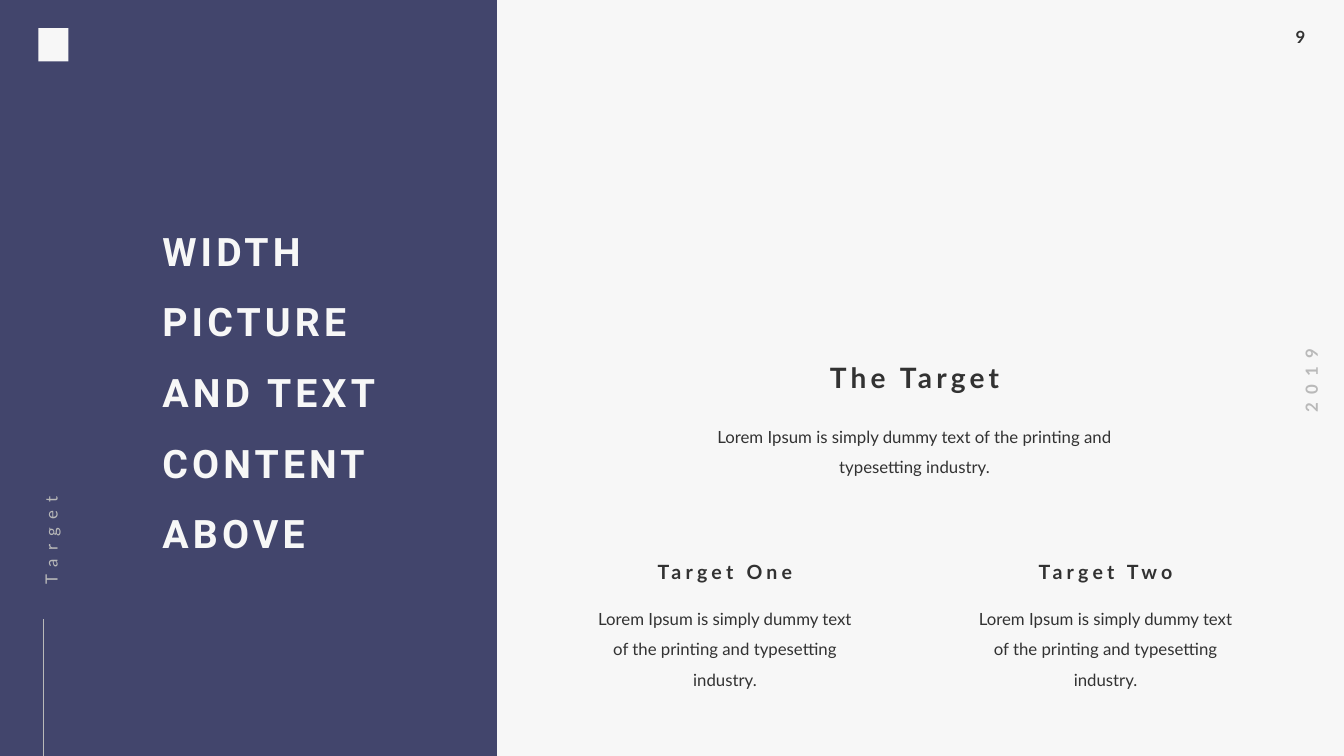
"""Build the "The Target" slide: a dark title panel beside three text blocks."""
from lxml import etree
from pptx import Presentation
from pptx.dml.color import RGBColor
from pptx.enum.shapes import MSO_CONNECTOR, MSO_SHAPE
from pptx.enum.text import MSO_ANCHOR, MSO_AUTO_SIZE, PP_ALIGN
from pptx.oxml.ns import qn
from pptx.util import Inches, Pt

LEFT, CENTER = PP_ALIGN.LEFT, PP_ALIGN.CENTER
RECTANGLE = MSO_SHAPE.RECTANGLE
STRAIGHT = MSO_CONNECTOR.STRAIGHT
TOP, NO_FIT = MSO_ANCHOR.TOP, MSO_AUTO_SIZE.NONE

COLORS = {"paper": "F7F7F7", "panel": "42456C", "ink": "323232", "muted": "B9B9B9"}

TITLE = "WIDTH PICTURE AND TEXT CONTENT ABOVE"
PAGE, YEAR, SECTION = "9", "2019", "Target"
LOREM = "Lorem Ipsum is simply dummy text of the printing and typesetting industry."
HEADING = "The Target"
TARGETS = [("Target One", LOREM), ("Target Two", LOREM)]

PANEL_WIDTH = 4.93
HEADING_CENTER = 9.12
TARGET_CENTER, TARGET_STEP = 7.24, 3.775


def color(name):
    return RGBColor.from_string(COLORS[name])


def write(box, text, size, ink, font="Lato", bold=False, spacing=0, align=LEFT,
          line=1.0, before=12, padding=0, wrap=True):
    tf = box.text_frame
    tf.word_wrap, tf.auto_size, tf.vertical_anchor = wrap, NO_FIT, TOP
    tf.margin_left = tf.margin_top = tf.margin_bottom = Inches(padding)
    tf.margin_right = Inches(0.1)
    p = tf.paragraphs[0]
    p.alignment, p.line_spacing, p.space_before = align, line, Pt(before)
    r = p.add_run()
    r.text = text
    r.font.name, r.font.size, r.font.bold = font, Pt(size), bold
    r.font.color.rgb = color(ink)
    r.font._element.set("spc", str(spacing * 100))


def add_text(s, left, top, width, height, text, size, ink, rotation=0, **style):
    box = s.shapes.add_textbox(Inches(left), Inches(top), Inches(width), Inches(height))
    box.rotation = rotation
    write(box, text, size, ink, **style)


def add_centered(s, center, top, width, height, text, size, **style):
    add_text(s, center - width / 2, top, width, height, text, size, "ink",
             align=CENTER, **style)


def add_rectangle(s, left, top, width, height, fill):
    sp = s.shapes.add_shape(RECTANGLE, Inches(left), Inches(top),
                            Inches(width), Inches(height))
    sp.shadow.inherit = False
    sp.fill.solid()
    sp.fill.fore_color.rgb = color(fill)
    sp.line.fill.background()


def add_title(s):
    title = s.shapes.title
    title.left, title.top = Inches(1.61), Inches(2.02)
    title.width, title.height = Inches(2.74), Inches(3.47)
    write(title, TITLE, 28, "paper", font="Roboto", bold=True, spacing=3, line=1.5)
    title.element.getparent().append(title.element)


def add_section_mark(s):
    rule = s.shapes.add_connector(STRAIGHT, Inches(0.43), Inches(7.5),
                                  Inches(0.43), Inches(6.14))
    rule.line.color.rgb = color("muted")
    rule.line.width = Pt(0.5)
    etree.SubElement(rule.element.spPr, qn("a:effectLst"))
    add_text(s, -0.49, 4.74, 1.85, 0.26, SECTION, 12, "muted", rotation=270,
             spacing=6, line=1.5)


def main():
    prs = Presentation()
    prs.slide_width, prs.slide_height = Inches(13.33), Inches(7.5)
    s = prs.slides.add_slide(prs.slide_layouts[5])
    s.background.fill.solid()
    s.background.fill.fore_color.rgb = color("paper")

    margin_style = {"bold": True, "before": 0, "padding": 0.05, "wrap": False}
    add_text(s, 12.8, 0.22, 0.36, 0.3, PAGE, 12, "ink", **margin_style)
    add_text(s, 12.54, 3.6, 0.93, 0.3, YEAR, 12, "muted", rotation=270,
             spacing=6, align=CENTER, **margin_style)

    add_rectangle(s, 0, 0, PANEL_WIDTH, 7.5, "panel")
    add_rectangle(s, 0.38, 0.28, 0.3, 0.33, "paper")
    add_section_mark(s)
    add_title(s)

    add_centered(s, HEADING_CENTER, 3.58, 3.5, 0.34, HEADING, 20, bold=True, spacing=3)
    add_centered(s, HEADING_CENTER, 4.13, 4.62, 0.57, LOREM, 12, line=1.5)
    for i, (name, text) in enumerate(TARGETS):
        center = TARGET_CENTER + i * TARGET_STEP
        add_centered(s, center, 5.55, 2.35, 0.24, name, 14, bold=True, spacing=3)
        add_centered(s, center, 5.94, 2.62, 0.87, text, 12, line=1.5)

    prs.save("out.pptx")


if __name__ == "__main__":
    main()
